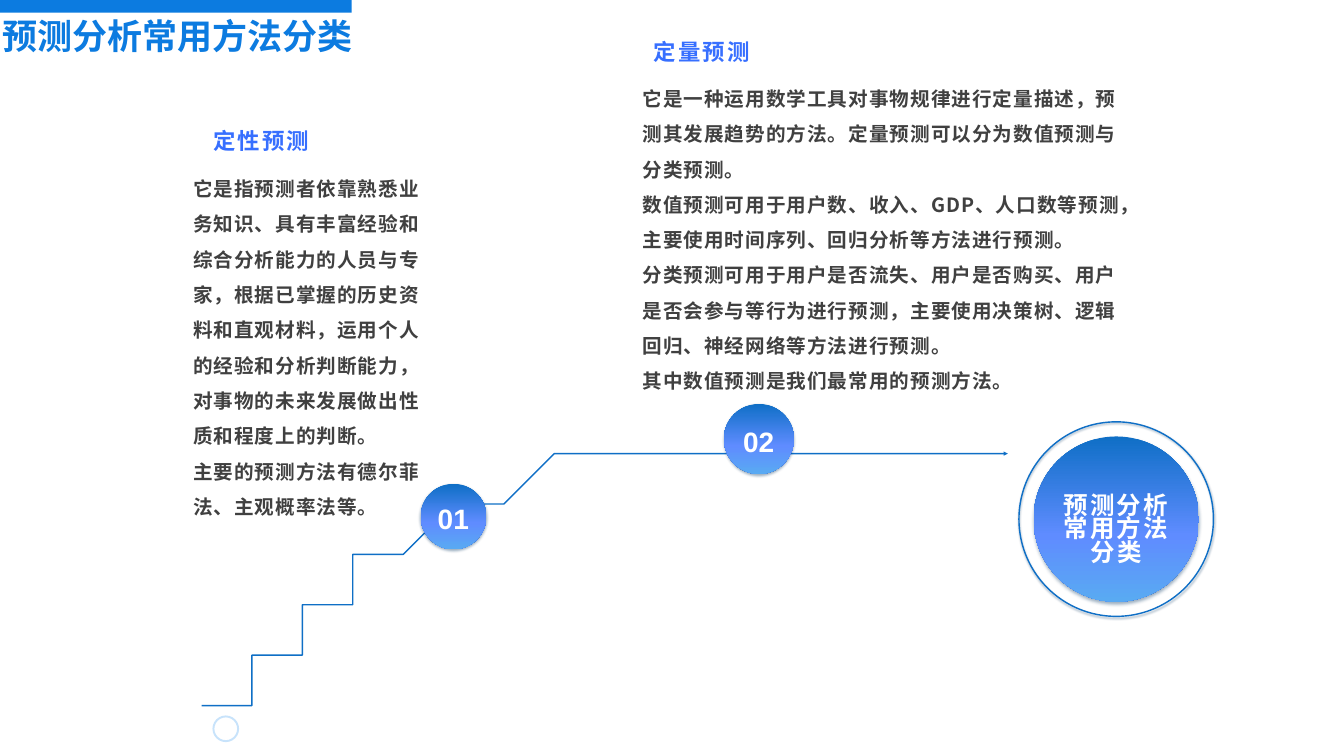
from lxml.etree import SubElement
from pptx import Presentation
from pptx.dml.color import RGBColor
from pptx.enum.shapes import MSO_SHAPE
from pptx.enum.text import MSO_ANCHOR, MSO_AUTO_SIZE, PP_ALIGN
from pptx.oxml.ns import qn
from pptx.util import Inches, Pt

CJK = "Noto Sans CJK JP"
BLUE, WHITE = "0F6FC6", "FFFFFF"
GRADIENT = [(0, BLUE), (60, "5F8CFF"), (100, "59AAF2")]
TITLE = "预测分析常用方法分类"
GOAL = ["预测分析", "常用方法", "分类"]
METHODS = [
    {"heading": "定性预测", "heading_at": (4.03, 2.34), "body_at": (3.63, 3.18, 5.12, 8.26),
     "number": "01", "center": (9, 10.25), "diameter": 1.3, "number_at": (8.45, 9.74),
     "body": ["它是指预测者依靠熟悉业务知识、具有丰富经验和综合分析能力的人员与专家，根据已掌握的历史资料和直观材料，运用个人的经验和分析判断能力，对事物的未来发展做出性质和程度上的判断。",
              "主要的预测方法有德尔菲法、主观概率法等。"]},
    {"heading": "定量预测", "heading_at": (12.77, 0.58), "body_at": (12.55, 1.39, 10.04, 7.18),
     "number": "02", "center": (15.06, 8.71), "diameter": 1.39, "number_at": (14.51, 8.21),
     "body": ["它是一种运用数学工具对事物规律进行定量描述，预测其发展趋势的方法。定量预测可以分为数值预测与分类预测。",
              "数值预测可用于用户数、收入、GDP、人口数等预测，主要使用时间序列、回归分析等方法进行预测。",
              "分类预测可用于用户是否流失、用户是否购买、用户是否会参与等行为进行预测，主要使用决策树、逻辑回归、神经网络等方法进行预测。",
              "其中数值预测是我们最常用的预测方法。"]},
]
ARC = [(4.48, 14.5), (4.69, 13.66), (9.43, 6.48), (19.98, 9.42)]
ARC_STEPS = 80
GOAL_CENTER = (22.15, 10.3)


def color(value):
    return RGBColor.from_string(value)


def write(box, lines, size, ink, font=CJK, tracking=0, spacing=1.0, align=PP_ALIGN.LEFT,
          anchor=MSO_ANCHOR.TOP, insets=(0.2, 0.1, 0.2, 0.1)):
    frame = box.text_frame
    frame.word_wrap, frame.auto_size, frame.vertical_anchor = True, MSO_AUTO_SIZE.NONE, anchor
    frame.margin_left, frame.margin_top, frame.margin_right, frame.margin_bottom = map(Inches, insets)
    frame.text = "\n".join(lines)
    for para in frame.paragraphs:
        para.alignment, para.line_spacing = align, spacing
        para.font.name, para.font.size, para.font.bold = font, Pt(size), True
        para.font.color.rgb = color(ink)
        defaults = para._p.pPr.find(qn("a:defRPr"))
        defaults.set("spc", str(int(tracking * 100)))
        SubElement(defaults, qn("a:ea"), typeface=font)


def add_text(page, at, lines, size, ink, **style):
    write(page.shapes.add_textbox(*map(Inches, at)), lines, size, ink, **style)


def add_circle(page, center, diameter):
    left, top = (middle - diameter / 2 for middle in center)
    circle = page.shapes.add_shape(MSO_SHAPE.OVAL, *map(Inches, (left, top, diameter, diameter)))
    circle.shadow.inherit = False
    return circle


def outline(shape, ink, width):
    shape.line.color.rgb, shape.line.width = color(ink), Pt(width)


def add_shadow(shape, blur, distance):
    effects = shape._element.spPr.find(qn("a:effectLst"))
    shadow = SubElement(effects, qn("a:outerShdw"), blurRad=str(Pt(blur)), dist=str(Pt(distance)),
                        dir="5400000", algn="t", rotWithShape="0")
    tint = SubElement(shadow, qn("a:srgbClr"), val="083763")
    SubElement(tint, qn("a:alpha"), val="40000")


def add_ball(page, center, diameter, blur, distance):
    ball = add_circle(page, center, diameter)
    ball.line.fill.background()
    ball.fill.gradient()
    gradient = ball._element.spPr.find(qn("a:gradFill"))
    for child in list(gradient):
        gradient.remove(child)
    stops = SubElement(gradient, qn("a:gsLst"))
    for position, value in GRADIENT:
        stop = SubElement(stops, qn("a:gs"), pos=str(position * 1000))
        SubElement(stop, qn("a:srgbClr"), val=value)
    SubElement(gradient, qn("a:lin"), ang="5400000", scaled="0")
    add_shadow(ball, blur, distance)


def arc_point(share):
    rest = 1 - share
    weights = (rest ** 3, 3 * rest ** 2 * share, 3 * rest * share ** 2, share ** 3)
    return tuple(sum(w * v for w, v in zip(weights, axis)) for axis in zip(*ARC))


def add_arc(page):
    points = [arc_point(step / ARC_STEPS) for step in range(ARC_STEPS + 1)]
    builder = page.shapes.build_freeform(*points[0], scale=Inches(1))
    builder.add_line_segments(points[1:], close=False)
    arc = builder.convert_to_shape()
    arc.shadow.inherit = False
    arc.fill.background()
    outline(arc, BLUE, 2)
    SubElement(arc.line._get_or_add_ln(), qn("a:tailEnd"), type="triangle")


def main():
    """Build the slide on the classes of forecasting methods."""
    deck = Presentation()
    deck.slide_width, deck.slide_height = Inches(26.67), Inches(15)
    page = deck.slides.add_slide(deck.slide_layouts[5])

    bar = page.shapes.add_shape(MSO_SHAPE.RECTANGLE, *map(Inches, (-0.02, -0.01, 7, 0.26)))
    bar.shadow.inherit = False
    bar.fill.solid()
    bar.fill.fore_color.rgb = color("0C7BE0")
    bar.line.fill.background()
    title = page.shapes.title
    title.left, title.top, title.width, title.height = map(Inches, (0.04, 0.28, 7.51, 1.62))
    write(title, [TITLE], 50, "0C7BE0", insets=(0, 0, 0, 0))

    add_arc(page)
    start = add_circle(page, (4.48, 14.46), 0.49)
    start.fill.solid()
    start.fill.fore_color.rgb = color(WHITE)
    outline(start, "C8E3FB", 2.75)

    for method in METHODS:
        add_ball(page, method["center"], method["diameter"], 4, 2)
        add_text(page, (*method["number_at"], 1.09, 1.01), [method["number"]], 40, WHITE,
                 font="Arial", spacing=1.1, align=PP_ALIGN.CENTER, anchor=MSO_ANCHOR.MIDDLE)
        add_text(page, (*method["heading_at"], 3.57, 0.79), [method["heading"]], 32, "376FFF",
                 tracking=3, anchor=MSO_ANCHOR.MIDDLE, insets=(0.2, 0.1, 0.2, 0))
        add_text(page, method["body_at"], method["body"], 28, "404040", tracking=1.5, spacing=1.5)

    add_ball(page, GOAL_CENTER, 3.28, 5, 3)
    ring = add_circle(page, GOAL_CENTER, 3.86)
    ring.fill.background()
    outline(ring, BLUE, 2)
    add_shadow(ring, 3, 2)
    add_text(page, (20.74, 9.59, 2.81, 1.78), GOAL, 35, WHITE, tracking=3, spacing=0.8,
             align=PP_ALIGN.CENTER, anchor=MSO_ANCHOR.MIDDLE, insets=(0.2, 0.1, 0.2, 0))
    deck.save("out.pptx")


if __name__ == "__main__":
    main()
